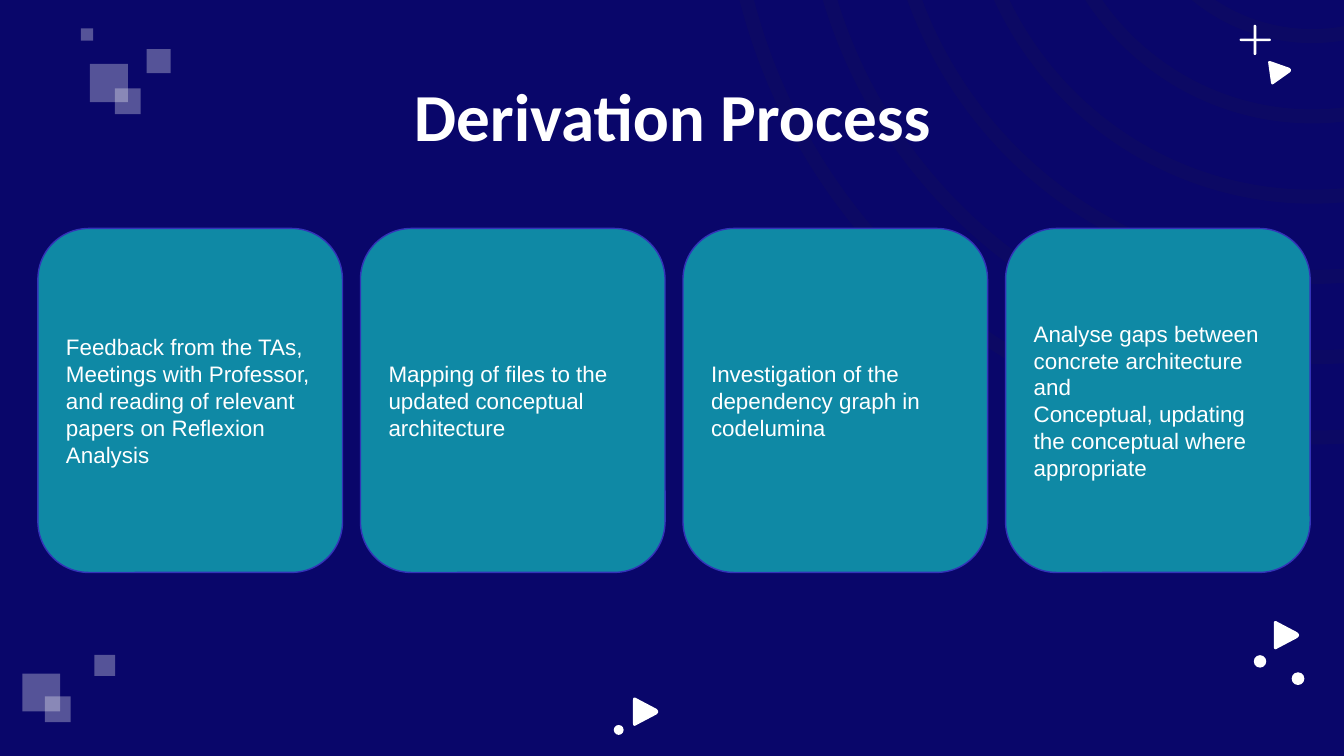
from typing import NamedTuple

from pptx import Presentation
from pptx.dml.color import RGBColor
from pptx.enum import shapes, text
from pptx.oxml import ns, xmlchemy
from pptx.util import Pt

NAVY, TEAL, VIOLET, WHITE, RING = "09066A", "0F89A5", "3333B8", "FFFFFF", "201A4A"
Preset = shapes.MSO_SHAPE


class Box(NamedTuple):
    left: float
    top: float
    width: float
    height: float


class Mark(NamedTuple):
    preset: Preset
    box: Box
    color: str = WHITE
    opacity: int = 100
    adjustment: float | None = None


class Play(NamedTuple):
    box: Box
    rotation: float = 0


class Corner(NamedTuple):
    start: tuple[float, float]
    control: tuple[float, float]
    end: tuple[float, float]


RING_CENTER = (702.9, -78.5)
RING_RADII = [316.6 - 43 * i for i in range(6)]
RING_WIDTH = 7.5

SQUARES = [
    (48.2, 34.3, 20.4), (61.5, 47.4, 13.8), (78.5, 26.3, 12.9), (43.3, 15.2, 6.7),
    (50.5, 350.9, 11.2), (12, 360.9, 20.2), (24.1, 373.1, 13.8),
]
DOTS = [(692, 360.2, 6.8), (671.7, 351, 6.7), (328.8, 388.4, 5.3)]
PLUS_BARS = [Box(671.6, 13.3, 1.4, 16.2), Box(664.1, 20.7, 16.7, 1.3)]
PLAYS = [
    Play(Box(680.1, 31.9, 11.7, 12.7), -8),
    Play(Box(682.4, 332.7, 13.7, 15.2)),
    Play(Box(339.1, 373.7, 13.7, 15.2)),
]
PLAY_CORNERS = [
    Corner((0.16, 0.04), (0, -0.06), (0, 0.1)),
    Corner((0, 0.9), (0, 1.06), (0.16, 0.96)),
    Corner((0.92, 0.6), (1.06, 0.5), (0.92, 0.4)),
]

TITLE_BOX = Box(56.7, 42.5, 607, 37.4)
CARD_BOX = Box(20.3, 122.4, 163.2, 184.3)
CARD_STEP = 172.8
CARD_TEXTS = [
    "Feedback from the TAs, Meetings with Professor, and reading of relevant "
    "papers on Reflexion Analysis",
    "Mapping of files to the updated conceptual architecture",
    "Investigation of the dependency graph in codelumina",
    "Analyse gaps between concrete architecture and\n"
    "Conceptual, updating the conceptual where appropriate",
]

FRAME_FORMAT = {
    "word_wrap": True,
    "auto_size": text.MSO_AUTO_SIZE.NONE,
    "vertical_anchor": text.MSO_ANCHOR.MIDDLE,
    "margin_left": Pt(7.2),
    "margin_right": Pt(7.2),
    "margin_top": Pt(7.2),
    "margin_bottom": Pt(7.2),
}
TITLE_FONT = {"name": "Calibri", "size": Pt(36), "bold": True}
TITLE_PARAGRAPH = {"alignment": text.PP_ALIGN.CENTER}
CARD_FONT = {"name": "Arial", "size": Pt(12)}
CARD_PARAGRAPH = {"alignment": text.PP_ALIGN.LEFT, "line_spacing": 1.0}


def rgb(color: str) -> RGBColor:
    return RGBColor.from_string(color)


def apply(target, values: dict) -> None:
    for name, value in values.items():
        setattr(target, name, value)


def paint(shape, color: str, opacity: int = 100) -> None:
    shape.shadow.inherit = False
    shape.fill.solid()
    shape.fill.fore_color.rgb = rgb(color)
    shape.line.fill.background()
    if opacity < 100:
        fill_color = shape.element.spPr.find(ns.qn("a:solidFill"))[0]
        alpha = xmlchemy.OxmlElement("a:alpha")
        alpha.set("val", str(opacity * 1000))
        fill_color.append(alpha)


def write(shape, content: str, paragraph_format: dict, font_format: dict) -> None:
    frame = shape.text_frame
    apply(frame, FRAME_FORMAT)
    frame.text = content
    for paragraph in frame.paragraphs:
        apply(paragraph, paragraph_format)
        for run in paragraph.runs:
            apply(run.font, font_format)
            run.font.color.rgb = rgb(WHITE)


def draw_mark(slide, mark: Mark):
    shape = slide.shapes.add_shape(mark.preset, *map(Pt, mark.box))
    if mark.adjustment is not None:
        shape.adjustments[0] = mark.adjustment
    paint(shape, mark.color, mark.opacity)
    return shape


def curve_points(corner: Corner, steps: int = 6) -> list[tuple[float, float]]:
    return [
        tuple(
            (1 - t) ** 2 * a + 2 * t * (1 - t) * b + t**2 * c
            for a, b, c in zip(*corner)
        )
        for t in (i / steps for i in range(steps + 1))
    ]


def draw_play(slide, play: Play) -> None:
    left, top, width, height = play.box
    points = [
        (Pt(left + x * width), Pt(top + y * height))
        for corner in PLAY_CORNERS
        for x, y in curve_points(corner)
    ]
    builder = slide.shapes.build_freeform(*points[0])
    builder.add_line_segments(points[1:], close=True)
    shape = builder.convert_to_shape()
    shape.rotation = play.rotation
    paint(shape, WHITE)


def draw_card(slide, index: int, content: str) -> None:
    box = CARD_BOX._replace(left=CARD_BOX.left + index * CARD_STEP)
    shape = draw_mark(slide, Mark(Preset.ROUNDED_RECTANGLE, box, TEAL, adjustment=0.167))
    shape.line.color.rgb = rgb(VIOLET)
    shape.line.width = Pt(0.75)
    write(shape, content, CARD_PARAGRAPH, CARD_FONT)


def draw_decoration(slide) -> None:
    x, y = RING_CENTER
    rings = [
        Mark(Preset.DONUT, Box(x - r, y - r, 2 * r, 2 * r), RING, 17, RING_WIDTH / (2 * r))
        for r in RING_RADII
    ]
    squares = [
        Mark(Preset.RECTANGLE, Box(left, top, side, side), opacity=31)
        for left, top, side in SQUARES
    ]
    bars = [Mark(Preset.ROUNDED_RECTANGLE, box, adjustment=0.5) for box in PLUS_BARS]
    dots = [Mark(Preset.OVAL, Box(left, top, size, size)) for left, top, size in DOTS]
    for mark in rings + squares + bars + dots:
        draw_mark(slide, mark)
    for play in PLAYS:
        draw_play(slide, play)


def draw_title(slide) -> None:
    title = slide.shapes.title
    apply(title, dict(zip(Box._fields, map(Pt, TITLE_BOX))))
    write(title, "Derivation Process", TITLE_PARAGRAPH, TITLE_FONT)
    title.element.getparent().append(title.element)


def main() -> None:
    presentation = Presentation()
    presentation.slide_width, presentation.slide_height = Pt(720), Pt(405)
    slide = presentation.slides.add_slide(presentation.slide_layouts[5])
    slide.background.fill.solid()
    slide.background.fill.fore_color.rgb = rgb(NAVY)
    draw_decoration(slide)
    draw_title(slide)
    for index, content in enumerate(CARD_TEXTS):
        draw_card(slide, index, content)
    presentation.save("out.pptx")


if __name__ == "__main__":
    main()
